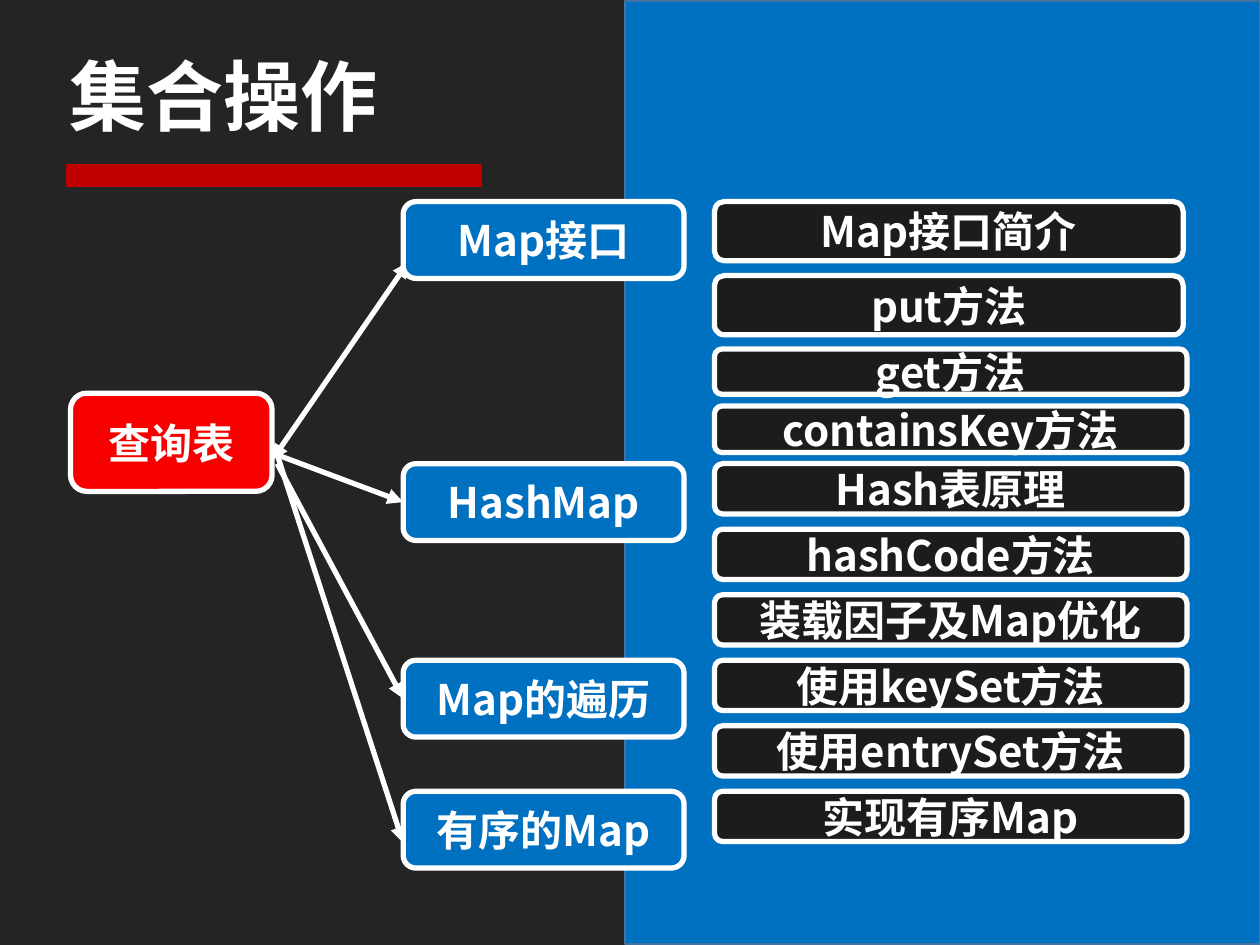
from dataclasses import dataclass

import pptx
import pptx.dml.color
import pptx.enum.shapes
import pptx.enum.text
import pptx.oxml
import pptx.oxml.ns
import pptx.util

SHAPE = pptx.enum.shapes.MSO_SHAPE
ALIGN = pptx.enum.text.PP_ALIGN
MIDDLE = pptx.enum.text.MSO_ANCHOR.MIDDLE
inches = pptx.util.Inches


@dataclass(frozen=True)
class Theme:
    font: str = "Noto Sans CJK SC"
    background: str = "242424"
    panel: str = "0070C0"
    panel_edge: str = "43739E"
    root: str = "F60000"
    accent: str = "C00000"
    detail: str = "1C1C1C"
    light: str = "FFFFFF"
    title_size: int = 44
    label_size: int = 24
    thin: int = 1
    thick: int = 3


THEME = Theme()

# Grid: three columns (left, width) and ten even rows
ROOT_COLUMN = (0.56, 1.6)
TOPIC_COLUMN = (3.2, 2.23)
DETAIL_COLUMN = (5.67, 3.75)
INTRO_COLUMN = (5.67, 3.72)
FIRST_ROW, ROW_PITCH = 1.6, 0.52
TOPIC_HEIGHT = 0.61

# Topic, row, and the arrow to it: start, end (None = middle of the left side)
TOPICS = [
    ("Map接口", 0, (2.16, 3.65), (3.24, 2.08)),
    ("HashMap", 4, (2.2, 3.61), None),
    ("Map的遍历", 7, (2.2, 3.68), None),
    ("有序的Map", 9, (2.2, 3.61), (3.2, 6.69)),
]

# Detail, row, height, column
DETAILS = [
    ("Map接口简介", 0, 0.47, INTRO_COLUMN),
    ("put方法", 1.13, 0.47, INTRO_COLUMN),
    ("get方法", 2.25, 0.36, DETAIL_COLUMN),
    ("containsKey方法", 3.12, 0.37, DETAIL_COLUMN),
    ("Hash表原理", 4, 0.4, DETAIL_COLUMN),
    ("hashCode方法", 5, 0.4, DETAIL_COLUMN),
    ("装载因子及Map优化", 6, 0.4, DETAIL_COLUMN),
    ("使用keySet方法", 7, 0.4, DETAIL_COLUMN),
    ("使用entrySet方法", 8, 0.4, DETAIL_COLUMN),
    ("实现有序Map", 9, 0.4, DETAIL_COLUMN),
]


def rgb(value):
    return pptx.dml.color.RGBColor.from_string(value)


def row_top(row):
    return FIRST_ROW + row * ROW_PITCH


def write(frame, text, size, align):
    frame.vertical_anchor = MIDDLE
    paragraph = frame.paragraphs[0]
    paragraph.alignment = align
    run = paragraph.add_run()
    run.text = text
    run.font.color.rgb = rgb(THEME.light)
    formats = {"name": THEME.font, "size": pptx.util.Pt(size), "bold": True}
    for key, value in formats.items():
        setattr(run.font, key, value)
    # East Asian glyphs need their own typeface entry
    east_asian = pptx.oxml.parse_xml(
        f'<a:ea {pptx.oxml.ns.nsdecls("a")} typeface="{THEME.font}"/>')
    run.font._element.append(east_asian)


def add_block(slide, kind, box, fill, edge, width):
    block = slide.shapes.add_shape(kind, *map(inches, box))
    block.shadow.inherit = False
    block.fill.solid()
    block.fill.fore_color.rgb = rgb(fill)
    block.line.color.rgb = rgb(edge)
    block.line.width = pptx.util.Pt(width)
    return block


def add_node(slide, text, column, top, height, fill):
    left, width = column
    node = add_block(slide, SHAPE.FLOWCHART_ALTERNATE_PROCESS,
                     (left, top, width, height), fill, THEME.light, THEME.thick)
    frame = node.text_frame
    formats = {"word_wrap": False, "margin_left": inches(0.11), "margin_right": inches(0.11),
               "margin_top": inches(0.05), "margin_bottom": inches(0.05)}
    for key, value in formats.items():
        setattr(frame, key, value)
    write(frame, text, THEME.label_size, ALIGN.CENTER)
    return node


def add_arrow(slide, start, end, ends):
    arrow = slide.shapes.add_connector(
        pptx.enum.shapes.MSO_CONNECTOR.STRAIGHT, *map(inches, (*start, *end)))
    arrow.line.color.rgb = rgb(THEME.light)
    arrow.line.width = pptx.util.Pt(THEME.thick)
    line = arrow.line._get_or_add_ln()
    namespace = pptx.oxml.ns.nsdecls("a")
    for name in ends:
        line.append(pptx.oxml.parse_xml(f'<a:{name} {namespace} type="triangle"/>'))
    line.addnext(pptx.oxml.parse_xml(f"<a:effectLst {namespace}/>"))
    return arrow


def add_title(slide, text):
    title = slide.shapes.title
    title.left, title.top, title.width, title.height = map(inches, (0.45, 0.23, 9.09, 1.04))
    write(title.text_frame, text, THEME.title_size, ALIGN.LEFT)
    subtitle = slide.placeholders[1].element
    subtitle.getparent().remove(subtitle)


def add_topic(slide, text, row, start, end):
    top = row_top(row)
    # The two-headed arrow runs in under its topic
    if row == 0:
        add_arrow(slide, start, end, ("headEnd", "tailEnd"))
    topic = add_node(slide, text, TOPIC_COLUMN, top, TOPIC_HEIGHT, THEME.panel)
    if row > 0:
        target = end or (TOPIC_COLUMN[0], top + TOPIC_HEIGHT / 2)
        arrow = add_arrow(slide, start, target, ("tailEnd",))
        if end is None:
            arrow.end_connect(topic, 1)


def main():
    deck = pptx.Presentation()
    deck.slide_width, deck.slide_height = inches(10), inches(7.5)
    slide = deck.slides.add_slide(deck.slide_layouts[0])
    slide.background.fill.solid()
    slide.background.fill.fore_color.rgb = rgb(THEME.background)

    # Right panel, title and its underline
    add_block(slide, SHAPE.RECTANGLE, (4.96, 0.01, 5.04, 7.48),
              THEME.panel, THEME.panel_edge, THEME.thin)
    add_title(slide, "集合操作")
    add_block(slide, SHAPE.RECTANGLE, (0.53, 1.31, 3.29, 0.17),
              THEME.accent, THEME.accent, THEME.thin)

    # Tree: root, topics with arrows, details
    add_node(slide, "查询表", ROOT_COLUMN, 3.12, 0.78, THEME.root)
    for topic in TOPICS:
        add_topic(slide, *topic)
    for text, row, height, column in DETAILS:
        add_node(slide, text, column, row_top(row), height, THEME.detail)

    deck.save("out.pptx")


if __name__ == "__main__":
    main()
